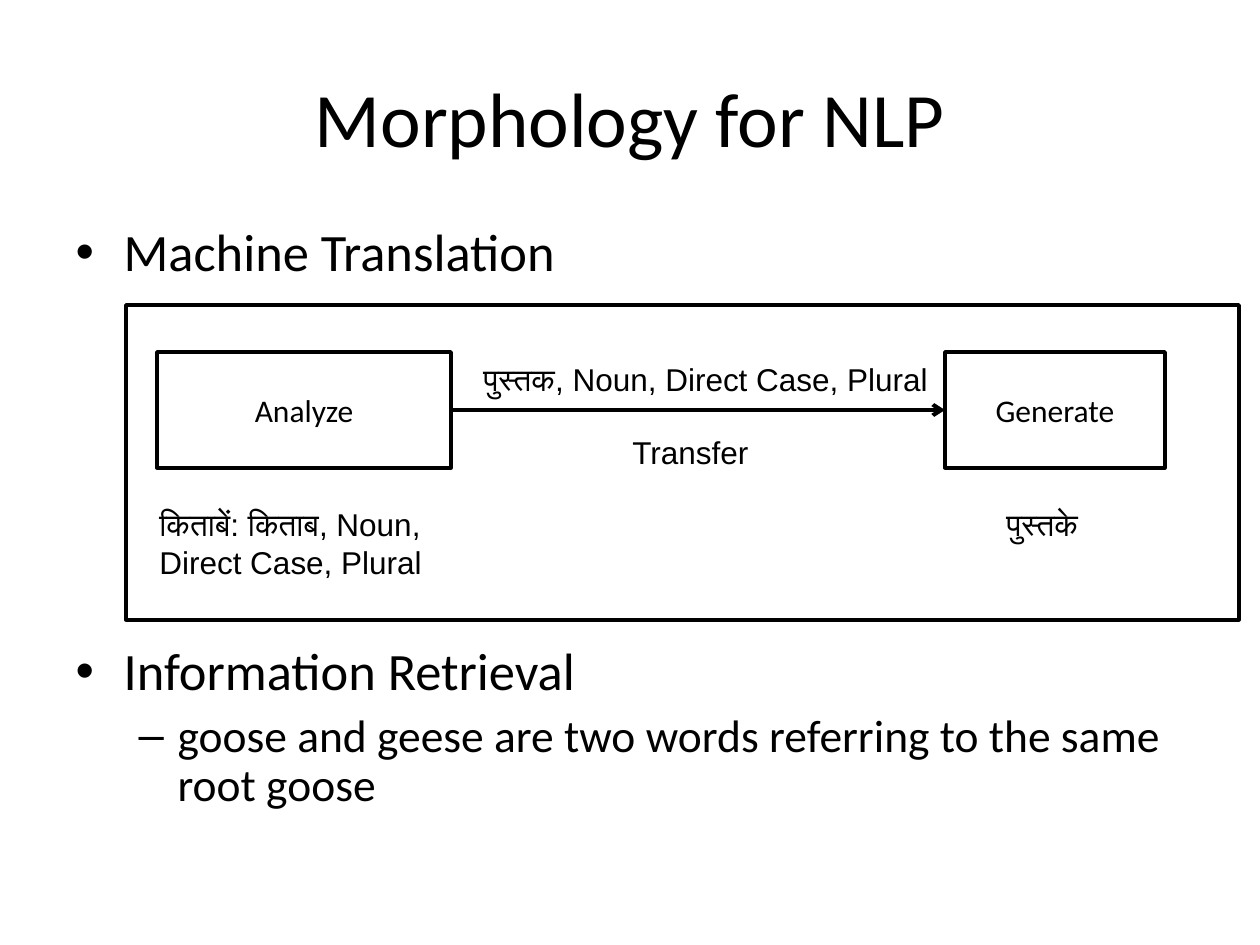
from dataclasses import dataclass

from lxml import etree
from pptx import Presentation
from pptx import util as u
from pptx.dml.color import RGBColor
from pptx.enum import shapes, text
from pptx.oxml.ns import qn


@dataclass(frozen=True)
class Theme:
    ink: RGBColor = RGBColor(0, 0, 0)
    heading: str = "Calibri"
    label: str = "Arial"
    title_size: int = 44
    item_size: int = 30
    subitem_size: int = 26
    label_size: int = 18
    box_line: float = 2
    arrow_line: float = 2.25


class SlideBuilder:
    """Draws styled elements on one slide, with lengths in px at 126 to the inch."""

    def __init__(self, slide, theme):
        self.slide = slide
        self.theme = theme

    def px(self, *lengths):
        return [u.Emu(round(length * u.Inches(1) / 126)) for length in lengths]

    def apply(self, target, values):
        for name, value in values.items():
            setattr(target, name, value)

    def place(self, shape, area):
        names = ("left", "top", "width", "height")
        self.apply(shape, dict(zip(names, self.px(*area))))

    def add_span(self, para, words, size, font):
        span = para.add_run()
        span.text = words
        self.apply(span.font, {"size": u.Pt(size), "name": font})
        span.font.color.rgb = self.theme.ink

    def title(self, words, area):
        box = self.slide.shapes.title
        self.place(box, area)
        self.apply(box.text_frame, {"vertical_anchor": text.MSO_ANCHOR.MIDDLE,
                                    "auto_size": text.MSO_AUTO_SIZE.NONE})
        para = box.text_frame.paragraphs[0]
        para.alignment = text.PP_ALIGN.CENTER
        self.add_span(para, words, self.theme.title_size, self.theme.heading)

    def bullets(self, items, area):
        box = self.slide.placeholders[1]
        self.place(box, area)
        frame = box.text_frame
        frame.auto_size = text.MSO_AUTO_SIZE.NONE
        styles = (("•", 48, 48, self.theme.item_size),
                  ("–", 102, 39, self.theme.subitem_size))
        for index, (words, level, before) in enumerate(items):
            para = frame.add_paragraph() if index else frame.paragraphs[0]
            mark, margin, hanging, size = styles[level]
            self.apply(para, {"level": level, "line_spacing": 0.9,
                              "space_before": u.Pt(before)})
            props = para._p.get_or_add_pPr()
            left, hang = self.px(margin, hanging)
            props.set("marL", str(left))
            props.set("indent", str(-hang))
            etree.SubElement(props, qn("a:buChar"), char=mark)
            self.add_span(para, words, size, self.theme.heading)

    def box(self, area, words=""):
        box = self.slide.shapes.add_shape(shapes.MSO_SHAPE.RECTANGLE, *self.px(*area))
        box.shadow.inherit = False
        box.fill.background()
        box.line.width = u.Pt(self.theme.box_line)
        box.line.color.rgb = self.theme.ink
        if words:
            box.text_frame.vertical_anchor = text.MSO_ANCHOR.MIDDLE
            para = box.text_frame.paragraphs[0]
            para.alignment = text.PP_ALIGN.CENTER
            self.add_span(para, words, self.theme.label_size, self.theme.heading)

    def label(self, lines, area, level=0, wrap=True):
        box = self.slide.shapes.add_textbox(*self.px(*area))
        frame = box.text_frame
        self.apply(frame, {"word_wrap": wrap,
                           "auto_size": text.MSO_AUTO_SIZE.SHAPE_TO_FIT_TEXT})
        for index, words in enumerate(lines):
            para = frame.add_paragraph() if index else frame.paragraphs[0]
            para.level = level
            para._p.get_or_add_pPr().set("marL", str(level * u.Inches(0.5)))
            self.add_span(para, words, self.theme.label_size, self.theme.label)

    def arrow(self, start, end):
        arrow = self.slide.shapes.add_connector(
            shapes.MSO_CONNECTOR.STRAIGHT, *self.px(*start, *end))
        arrow.line.width = u.Pt(self.theme.arrow_line)
        arrow.line.color.rgb = self.theme.ink
        outline = arrow._element.spPr.find(qn("a:ln"))
        etree.SubElement(outline, qn("a:tailEnd"), type="arrow")
        etree.SubElement(arrow._element.spPr, qn("a:effectLst"))


def main():
    deck = Presentation()
    deck.slide_width, deck.slide_height = u.Inches(10), u.Inches(7.5)
    page = SlideBuilder(deck.slides.add_slide(deck.slide_layouts[1]), Theme())

    page.title("Morphology for NLP", (63, 38, 1134, 158))
    page.bullets([
        ("Machine Translation", 0, 0),
        ("Information Retrieval", 0, 207),
        ("goose and geese are two words referring to the same root goose", 1, 6.5),
    ], (63, 220, 1134, 624))

    row_top, row_height = 352, 116
    analyze_left, analyze_width, generate_left = 157, 294, 945
    middle = row_top + row_height // 2
    page.box((analyze_left, row_top, analyze_width, row_height), "Analyze")
    page.box((generate_left, row_top, 220, row_height), "Generate")
    page.arrow((analyze_left + analyze_width, middle), (generate_left, middle))

    caption_top = 499
    page.label(["Transfer"], (620, 427, 242, 50))
    page.label(["किताबें: किताब, Noun,", "Direct Case, Plural"],
               (21, caption_top, 577, 88), level=2)
    page.label(["पुस्तक, Noun, Direct Case, Plural"],
               (345, 354, 596, 50), level=2, wrap=False)
    page.label(["पुस्तके"], (868, caption_top, 223, 50), level=2, wrap=False)
    page.box((126, 305, 1113, 315))
    deck.save("out.pptx")


if __name__ == "__main__":
    main()
